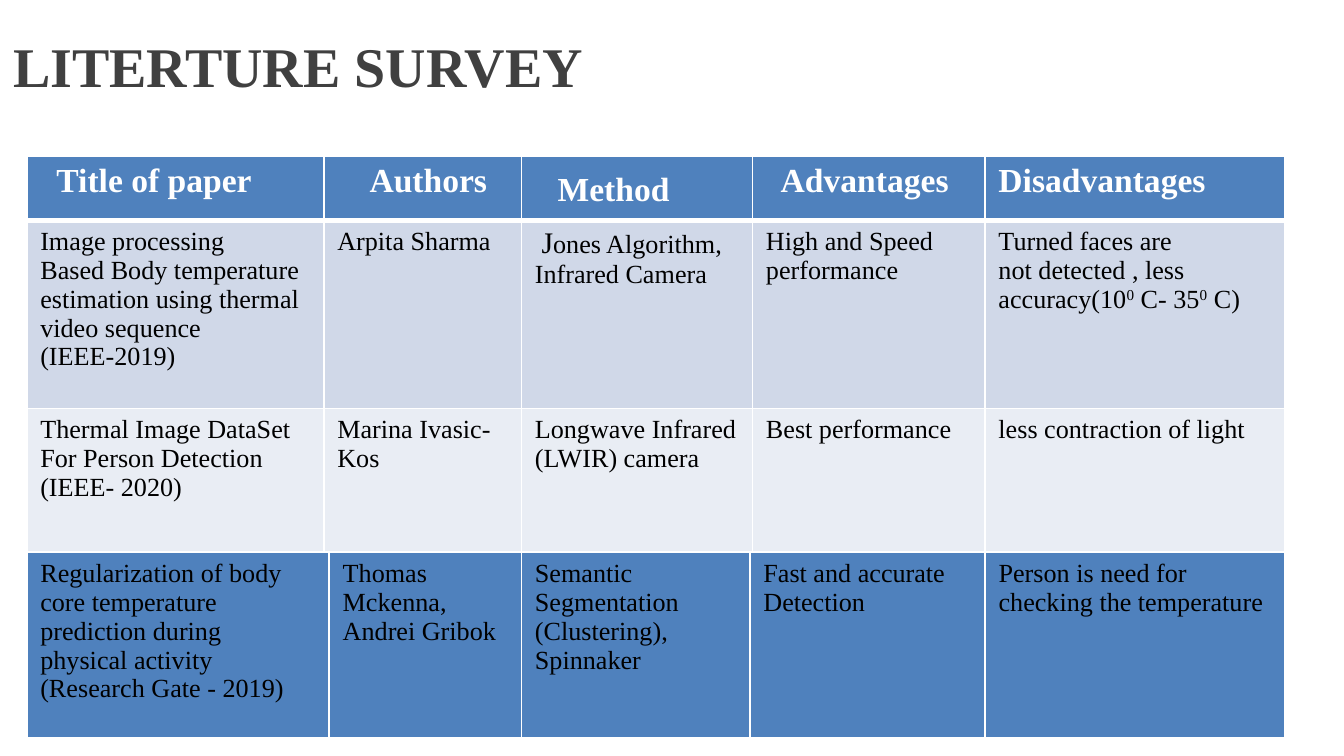
"""Build the literature survey slide with its two stacked tables."""
from lxml import etree
from pptx import Presentation
from pptx.dml.color import RGBColor
from pptx.enum.text import MSO_ANCHOR
from pptx.oxml.ns import qn
from pptx.util import Inches, Pt

MIDDLE = MSO_ANCHOR.MIDDLE
COLORS = {
    "title": "404040",
    "white": "FFFFFF",
    "black": "000000",
    "blue": "4F81BD",
    "band": "D0D8E8",
    "light": "E9EDF4",
}
FORMATS = {
    "title": {"name": "Times New Roman", "size": Pt(30), "bold": True},
    "header": {"name": "Times New Roman", "size": Pt(18), "bold": True},
    "body": {"name": "Times New Roman", "size": Pt(14), "bold": False},
    "initial": {"name": "Times New Roman", "size": Pt(16), "bold": False},
}


def add_run(paragraph, text, style, color):
    run = paragraph.add_run()
    run.text = text
    for name, value in FORMATS[style].items():
        setattr(run.font, name, value)
    run.font.color.rgb = RGBColor.from_string(COLORS[color])
    return run


def add_border(cell, side, width):
    properties = cell._tc.get_or_add_tcPr()
    line = etree.SubElement(properties, qn(f"a:{side}"), w=str(Pt(width)))
    fill = etree.SubElement(line, qn("a:solidFill"))
    etree.SubElement(fill, qn("a:srgbClr"), val=COLORS["white"])


presentation = Presentation()
presentation.slide_width = Inches(10)
presentation.slide_height = Inches(10) * 9 // 16
slide = presentation.slides.add_slide(presentation.slide_layouts[6])

title = slide.shapes.add_textbox(0, 0, Inches(10), Inches(0.97))
title.text_frame.word_wrap = True
title.text_frame.vertical_anchor = MIDDLE
add_run(title.text_frame.paragraphs[0], "LITERTURE SURVEY", "title", "title")

header = ["Title of paper", "Authors", "Method", "Advantages", "Disadvantages"]
first_paper = [
    "Image processing\nBased Body temperature estimation using thermal video sequence\n(IEEE-2019)",
    "Arpita Sharma",
    "Jones Algorithm,\nInfrared Camera",
    "High and Speed\nperformance",
    "Turned faces are\nnot detected , less accuracy(10^0^ C- 35^0^ C)",
]
second_paper = [
    "Thermal Image DataSet For Person Detection\n(IEEE- 2020)",
    "Marina Ivasic-Kos",
    "Longwave Infrared (LWIR) camera",
    "Best performance",
    "less contraction of light",
]
third_paper = [
    "Regularization of body\ncore temperature\nprediction during\nphysical activity\n(Research Gate - 2019)",
    "Thomas Mckenna, Andrei Gribok",
    "Semantic\nSegmentation\n(Clustering),\nSpinnaker",
    "Fast and accurate\nDetection",
    "Person is need for\nchecking the temperature",
]

tables = [
    (1.16, [2.21, 1.47, 1.72, 1.73, 2.23], [
        (header, 0.48, "blue", "header", "white", 1, 3),
        (first_paper, 1.4, "band", "body", "black", 3, 1),
        (second_paper, 1.07, "light", "body", "black", 1, 1),
    ]),
    (4.11, [2.25, 1.43, 1.7, 1.75, 2.23], [
        (third_paper, 1.39, "blue", "body", "black", 1, 3),
    ]),
]
grids = []
for top, widths, rows in tables:
    total_height = sum(row[1] for row in rows)
    frame = slide.shapes.add_table(
        len(rows), len(widths), Inches(0.2), Inches(top), Inches(9.36), Inches(total_height))
    table = frame.table
    grids.append(table)
    for column, width in zip(table.columns, widths):
        column.width = Inches(width)
    for table_row, (texts, height, fill, style, color, above, below) in zip(table.rows, rows):
        table_row.height = Inches(height)
        for cell, text in zip(table_row.cells, texts):
            for side, thickness in {"lnL": 1, "lnR": 1, "lnT": above, "lnB": below}.items():
                add_border(cell, side, thickness)
            cell.fill.solid()
            cell.fill.fore_color.rgb = RGBColor.from_string(COLORS[fill])
            text_frame = cell.text_frame
            for line_index, line in enumerate(text.split("\n")):
                paragraph = text_frame.add_paragraph() if line_index else text_frame.paragraphs[0]
                for part_index, part in enumerate(line.split("^")):
                    run = add_run(paragraph, part, style, color)
                    if part_index % 2:
                        run._r.get_or_add_rPr().set("baseline", "30000")

survey = grids[0]
for column_index, margin in enumerate([0.22, 0.34, 0.27, 0.21]):
    survey.cell(0, column_index).margin_left = Inches(margin)
survey.cell(0, 2).margin_top = Inches(0.12)

method = survey.cell(1, 2).text_frame.paragraphs[0]
method.clear()
method._p.get_or_add_pPr().set("indent", str(Inches(0.05)))
add_run(method, "J", "initial", "black")
add_run(method, "ones Algorithm,", "body", "black")

presentation.save("out.pptx")
